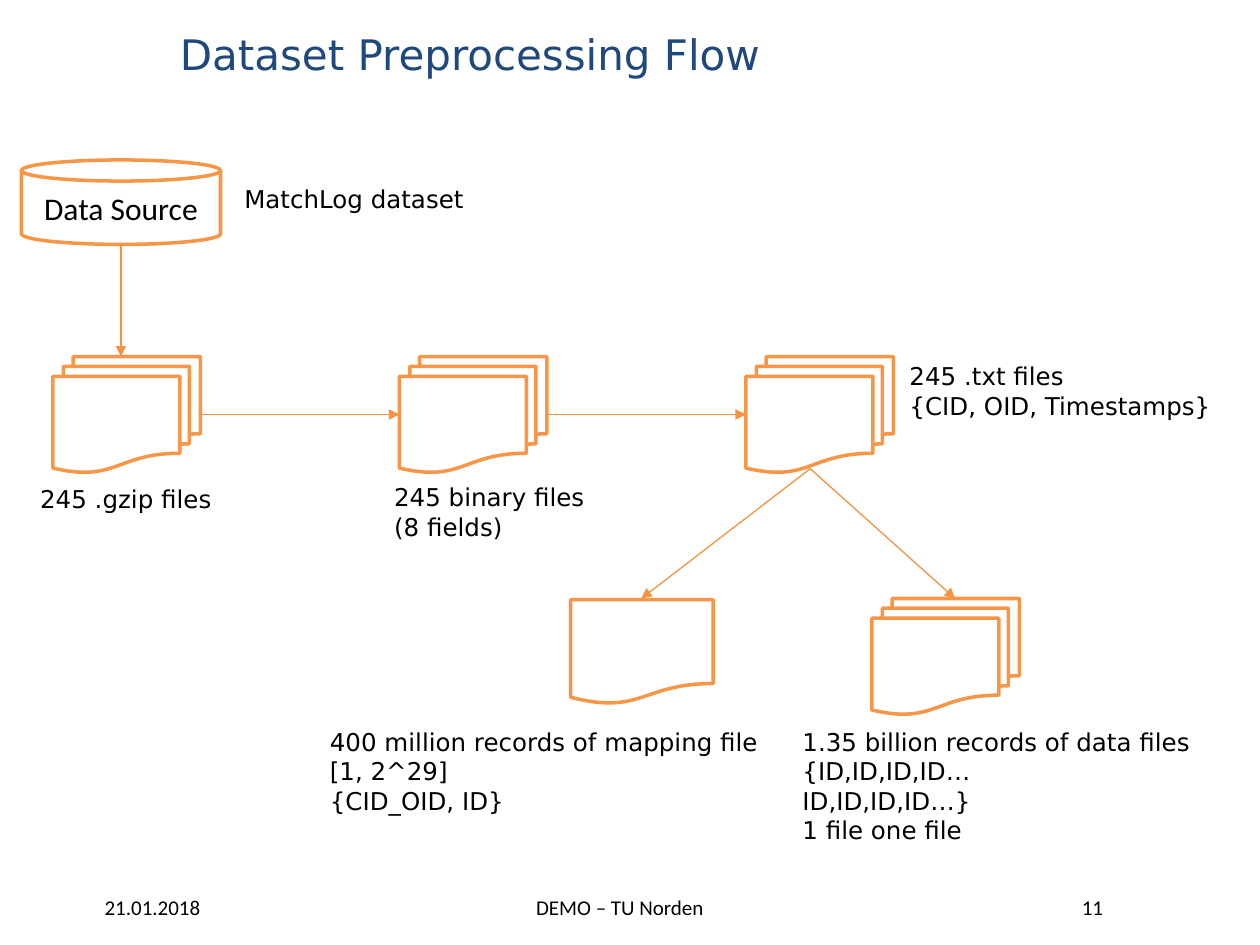
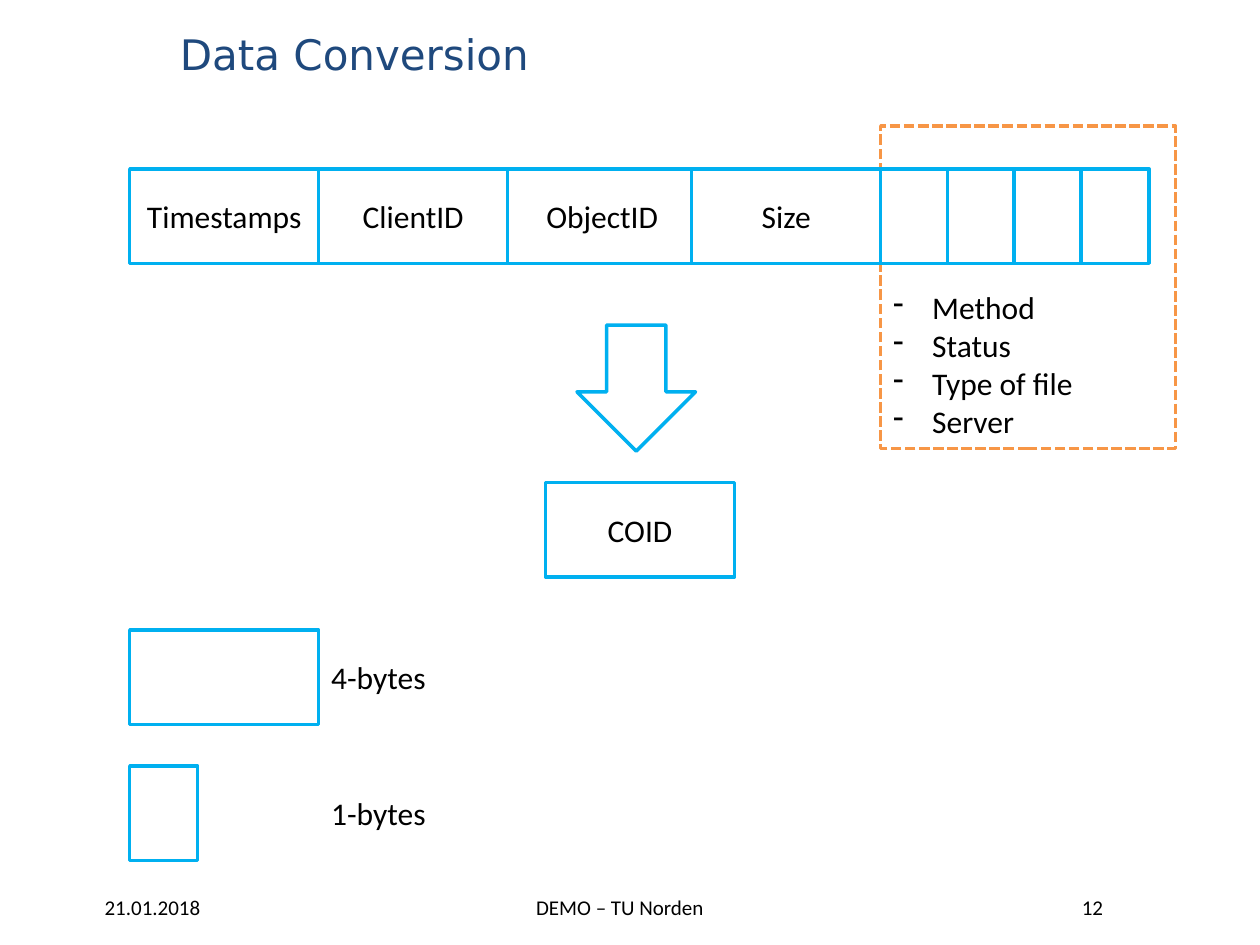
from dataclasses import dataclass
from typing import Any

import pptx
import pptx.dml.color
import pptx.enum.dml
import pptx.enum.shapes
import pptx.enum.text
import pptx.oxml
import pptx.slide
import pptx.util

Inches = pptx.util.Inches
Pt = pptx.util.Pt
RGBColor = pptx.dml.color.RGBColor
MSO_SHAPE = pptx.enum.shapes.MSO_SHAPE
MSO_ANCHOR = pptx.enum.text.MSO_ANCHOR
MSO_AUTO_SIZE = pptx.enum.text.MSO_AUTO_SIZE
PP_ALIGN = pptx.enum.text.PP_ALIGN

WHITE = RGBColor(0xFF, 0xFF, 0xFF)
BLACK = RGBColor(0, 0, 0)
NAVY = RGBColor(0x1F, 0x49, 0x7D)
ORANGE = RGBColor(0xF7, 0x96, 0x46)
ARROW_ORANGE = RGBColor(0xF6, 0x92, 0x40)
BLUE = RGBColor(0x00, 0xB0, 0xF0)

BODY_FONT = "Calibri"
LABEL_FONT = "DejaVu Sans"
DATE = "21.01.2018"
FOOTER = "DEMO – TU Norden"


@dataclass(frozen=True)
class Box:
    left: float
    top: float
    width: float
    height: float

    def emu(self) -> tuple[int, ...]:
        return tuple(Inches(v) for v in (self.left, self.top, self.width, self.height))


@dataclass(frozen=True)
class Style:
    font: str = BODY_FONT
    size: int = 18
    color: RGBColor = BLACK
    align: Any = PP_ALIGN.LEFT
    anchor: Any = MSO_ANCHOR.TOP
    wrap: bool = False
    grow: bool = True
    bullet: str = ""


@dataclass(frozen=True)
class Label:
    box: Box
    lines: tuple[str, ...]


@dataclass(frozen=True)
class Arrow:
    x1: float
    y1: float
    x2: float
    y2: float


TITLE = Style(LABEL_FONT, 24, NAVY, anchor=MSO_ANCHOR.MIDDLE, wrap=True, grow=False)
FOOT = Style(size=12, align=PP_ALIGN.CENTER, anchor=MSO_ANCHOR.MIDDLE, wrap=True)
IN_SHAPE = Style(align=PP_ALIGN.CENTER, anchor=MSO_ANCHOR.MIDDLE, wrap=True, grow=False)
CAPTION = Style(LABEL_FONT, 14)
LEGEND = Style()
BULLETS = Style(bullet="-")


def write(tf: Any, lines: tuple[str, ...], style: Style) -> None:
    tf.word_wrap = style.wrap
    tf.vertical_anchor = style.anchor
    tf.auto_size = MSO_AUTO_SIZE.SHAPE_TO_FIT_TEXT if style.grow else MSO_AUTO_SIZE.NONE
    for i, line in enumerate(lines):
        p = tf.paragraphs[0] if i == 0 else tf.add_paragraph()
        p.alignment = style.align
        if style.bullet:
            pPr = p._p.get_or_add_pPr()
            pPr.set("marL", str(Inches(0.31)))
            pPr.set("indent", str(Inches(-0.31)))
            bu = pptx.oxml.parse_xml(
                '<a:buChar xmlns:a="http://schemas.openxmlformats.org/drawingml/2006/main"/>')
            bu.set("char", style.bullet)
            pPr.append(bu)
        r = p.add_run()
        r.text = line
        r.font.name = style.font
        r.font.size = Pt(style.size)
        r.font.color.rgb = style.color


def add_text(s: pptx.slide.Slide, box: Box, lines: tuple[str, ...], style: Style) -> None:
    write(s.shapes.add_textbox(*box.emu()).text_frame, lines, style)


def add_shape(shapes: Any, kind: Any, box: Box, color: RGBColor, text: str = "") -> Any:
    sp = shapes.add_shape(kind, *box.emu())
    sp.shadow.inherit = False
    sp.fill.solid()
    sp.fill.fore_color.rgb = WHITE
    sp.line.color.rgb = color
    sp.line.width = Pt(2)
    if text:
        write(sp.text_frame, (text,), IN_SHAPE)
    return sp


def add_arrow(s: pptx.slide.Slide, arrow: Arrow) -> None:
    ends = (Inches(v) for v in (arrow.x1, arrow.y1, arrow.x2, arrow.y2))
    cx = s.shapes.add_connector(pptx.enum.shapes.MSO_CONNECTOR.STRAIGHT, *ends)
    cx.line.color.rgb = ARROW_ORANGE
    cx.line.width = Pt(0.75)
    ns = 'xmlns:a="http://schemas.openxmlformats.org/drawingml/2006/main"'
    cx.line._get_or_add_ln().append(pptx.oxml.parse_xml(f'<a:tailEnd {ns} type="triangle"/>'))
    cx._element.spPr.append(pptx.oxml.parse_xml(f"<a:effectLst {ns}/>"))


def add_slide(prs: Any, title: str, number: int) -> pptx.slide.Slide:
    s = prs.slides.add_slide(prs.slide_layouts[6])
    s.background.fill.solid()
    s.background.fill.fore_color.rgb = WHITE
    for left, width, text in ((0.47, 1.48, DATE), (3.67, 2.5, FOOTER), (7.81, 1.72, str(number))):
        add_text(s, Box(left, 7.05, width, 0.3), (text,), FOOT)
    add_text(s, Box(1.33, 0.08, 7.5, 0.7), (title,), TITLE)
    return s


def build_flow(prs: Any) -> None:
    s = add_slide(prs, "Dataset Preprocessing Flow", 11)
    add_shape(s.shapes, MSO_SHAPE.CAN, Box(0.17, 1.27, 1.58, 0.67), ORANGE, "Data Source")

    stack_w, stack_h, row_y = 1.17, 0.92, 2.83
    stages = [0.42 + 2.75 * i for i in range(3)]
    for x, y in [(x, row_y) for x in stages] + [(6.92, 4.75)]:
        add_shape(s.shapes, MSO_SHAPE.FLOWCHART_MULTIDOCUMENT, Box(x, y, stack_w, stack_h), ORANGE)
    add_shape(s.shapes, MSO_SHAPE.FLOWCHART_DOCUMENT, Box(4.53, 4.76, 1.13, 0.83), ORANGE)

    mid_y = row_y + stack_h / 2
    add_arrow(s, Arrow(0.96, 1.93, 0.96, row_y))
    for x, following in zip(stages, stages[1:]):
        add_arrow(s, Arrow(x + stack_w, mid_y, following, mid_y))
    for x in (5.09, 7.58):
        add_arrow(s, Arrow(6.43, 3.72, x, 4.75))

    for label in (
        Label(Box(1.84, 1.41, 1.95, 0.34), ("MatchLog dataset",)),
        Label(Box(0.22, 3.79, 1.58, 0.34), ("245 .gzip files",)),
        Label(Box(3.03, 3.78, 1.73, 0.57), ("245 binary files", "(8 fields)")),
        Label(Box(7.12, 2.82, 2.67, 0.57), ("245 .txt files", "{CID, OID, Timestamps}")),
        Label(Box(2.52, 5.72, 3.64, 0.81),
              ("400 million records of mapping file", "[1, 2^29]", "{CID_OID, ID}")),
        Label(Box(6.27, 5.72, 3.32, 1.04),
              ("1.35 billion records of data files", "{ID,ID,ID,ID…", "ID,ID,ID,ID…}",
               "1 file one file")),
    ):
        add_text(s, label.box, label.lines, CAPTION)


def build_conversion(prs: Any) -> None:
    s = add_slide(prs, "Data Conversion", 12)
    wide, narrow, height = 1.5, 0.54, 0.75
    record_x, record_y, flags_x = 1.03, 1.34, 6.99

    frame = add_shape(s.shapes, MSO_SHAPE.RECTANGLE, Box(flags_x, 1, 2.34, 2.56), ORANGE)
    frame.line.dash_style = pptx.enum.dml.MSO_LINE.SQUARE_DOT
    add_shape(s.shapes, MSO_SHAPE.RECTANGLE, Box(4.33, 3.83, wide, height), BLUE, "COID")

    record = s.shapes.add_group_shape()
    fields = [(record_x + wide * i, wide, name)
              for i, name in enumerate(("Timestamps", "ClientID", "ObjectID"))]
    fields.append((flags_x - wide, wide, "Size"))
    fields += [(flags_x + 0.53 * i, narrow, "") for i in range(4)]
    for x, width, name in fields:
        add_shape(record.shapes, MSO_SHAPE.RECTANGLE, Box(x, record_y, width, height), BLUE, name)

    add_shape(s.shapes, MSO_SHAPE.DOWN_ARROW, Box(4.58, 2.58, 0.94, 1), BLUE)
    for y, width, text in ((5, wide, "4-bytes"), (6.08, narrow, "1-bytes")):
        add_shape(s.shapes, MSO_SHAPE.RECTANGLE, Box(record_x, y, width, height), BLUE)
        add_text(s, Box(record_x + wide, y + 0.17, 0.96, 0.4), (text,), LEGEND)
    add_text(s, Box(flags_x, 2.24, 1.65, 1.31),
             ("Method", "Status", "Type of file", "Server"), BULLETS)


def main() -> None:
    prs = pptx.Presentation()
    prs.slide_width = Inches(10)
    prs.slide_height = Inches(7.5)
    build_flow(prs)
    build_conversion(prs)
    prs.save("out.pptx")


main()
